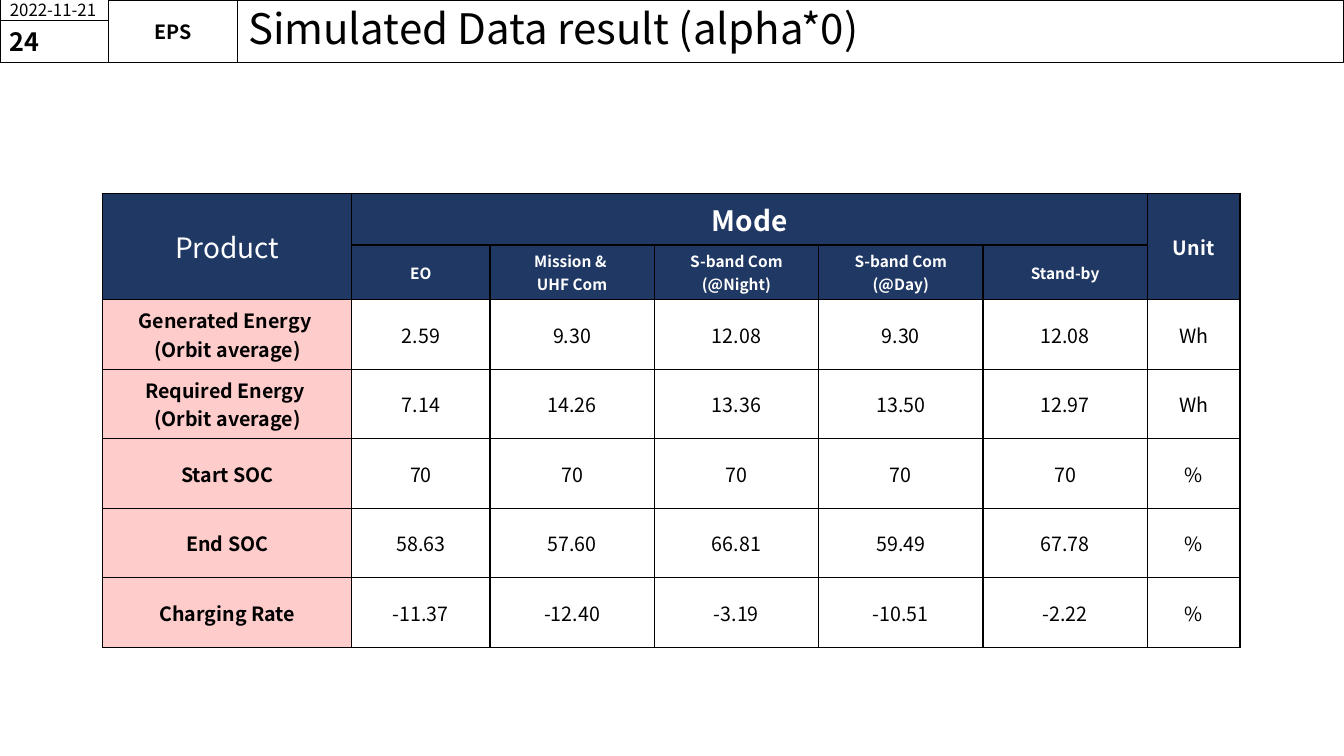
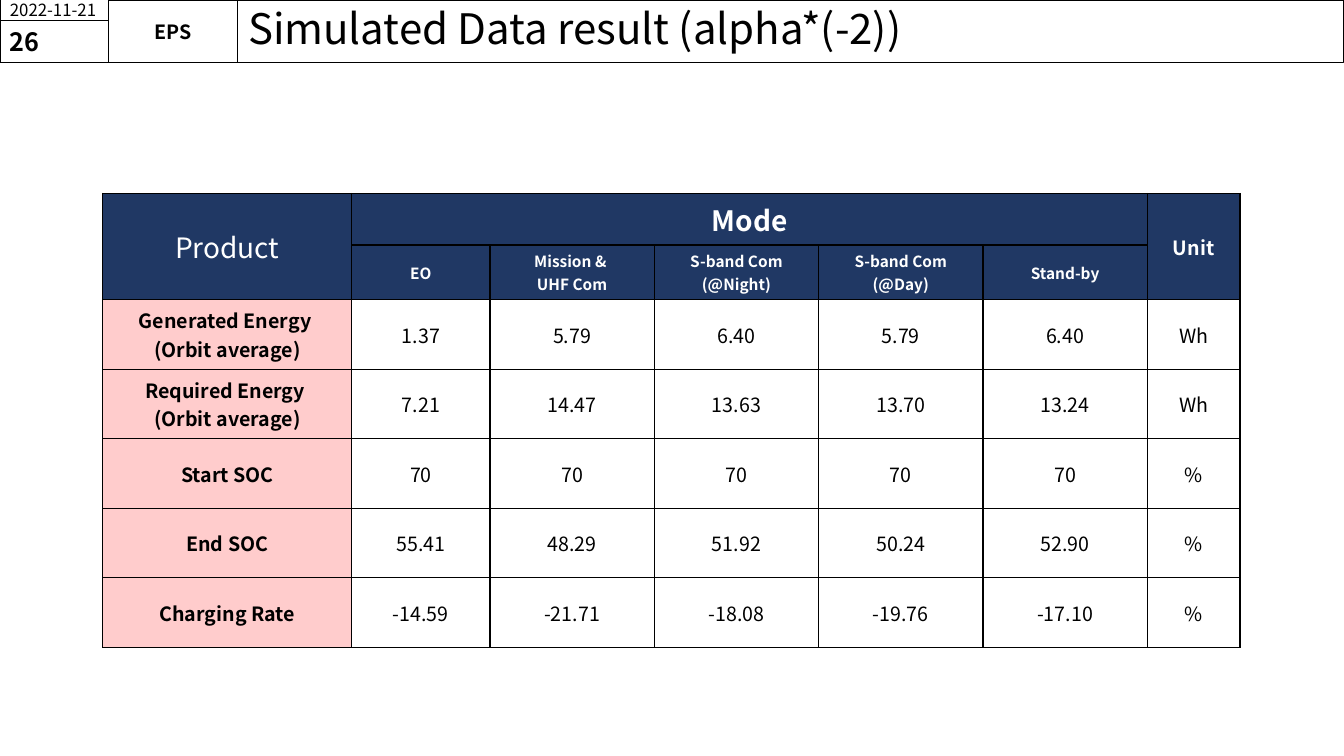
from dataclasses import dataclass

from lxml.etree import SubElement
from pptx import Presentation
from pptx.dml.color import RGBColor
from pptx.enum.shapes import MSO_SHAPE
from pptx.enum.text import MSO_ANCHOR, MSO_AUTO_SIZE, PP_ALIGN
from pptx.oxml.ns import qn
from pptx.util import Inches, Pt


@dataclass(frozen=True)
class Theme:
    """Colours, font, type sizes and line widths of the deck."""
    font: str = "Noto Sans CJK KR"
    ink: str = "000000"
    white: str = "FFFFFF"
    navy: str = "203864"
    pink: str = "FFCCCC"
    title: int = 30
    heading: int = 20
    number: int = 18
    body: int = 14
    date: int = 12
    mode: int = 11
    frame_line: float = 0.75
    grid_line: float = 1


THEME = Theme()
BAND_H = 0.62
DATE_W, DATE_H = 1.08, 0.2
TITLE_X, SLIDE_W = 2.36, 13.33
COL_WIDTHS = [2.47, 1.37] + [1.63] * 4 + [0.92]
ROW_HEIGHTS = [0.51, 0.54] + [0.69] * 5
MODES = ["EO", "Mission & \nUHF Com", "S-band Com (@Night)",
         "S-band Com (@Day)", "Stand-by"]
PRODUCTS = [("Generated Energy \n(Orbit average)", "Wh"),
            ("Required Energy \n(Orbit average)", "Wh"),
            ("Start SOC", "%"), ("End SOC", "%"), ("Charging Rate", "%")]
RESULTS = [
    ("24", "Simulated Data result (alpha*0)", [
        ["2.59", "9.30", "12.08", "9.30", "12.08"],
        ["7.14", "14.26", "13.36", "13.50", "12.97"],
        ["70"] * 5,
        ["58.63", "57.60", "66.81", "59.49", "67.78"],
        ["-11.37", "-12.40", "-3.19", "-10.51", "-2.22"]]),
    ("26", "Simulated Data result (alpha*(-2))", [
        ["1.37", "5.79", "6.40", "5.79", "6.40"],
        ["7.21", "14.47", "13.63", "13.70", "13.24"],
        ["70"] * 5,
        ["55.41", "48.29", "51.92", "50.24", "52.90"],
        ["-14.59", "-21.71", "-18.08", "-19.76", "-17.10"]]),
]


def write(tf, text, size, color=THEME.ink, bold=False, align=PP_ALIGN.LEFT):
    """Fill a text frame with uniformly styled paragraphs."""
    tf.text = text
    for p in tf.paragraphs:
        p.alignment = align
        p.font.name = THEME.font
        p.font.size = Pt(size)
        p.font.bold = bold
        p.font.color.rgb = RGBColor.from_string(color)


def frame(sp):
    """Give a band shape its thin outline, no fill and centred anchor."""
    sp.fill.background()
    sp.line.color.rgb = RGBColor.from_string(THEME.ink)
    sp.line.width = Pt(THEME.frame_line)
    sp.text_frame.word_wrap = True
    sp.text_frame.vertical_anchor = MSO_ANCHOR.MIDDLE


def add_box(slide, x, y, w, h, text, size, **style):
    """Add an outlined box of the top band."""
    sp = slide.shapes.add_shape(MSO_SHAPE.RECTANGLE, Inches(x), Inches(y),
                                Inches(w), Inches(h))
    sp.shadow.inherit = False
    frame(sp)
    write(sp.text_frame, text, size, **style)
    return sp


def add_band(slide, number, title):
    """Set the title and add the date, page number and section boxes."""
    sp = slide.shapes.title
    sp.left, sp.top = Inches(TITLE_X), Inches(0)
    sp.width, sp.height = Inches(SLIDE_W - TITLE_X), Inches(BAND_H)
    frame(sp)
    sp.text_frame.auto_size = MSO_AUTO_SIZE.NONE
    write(sp.text_frame, title, THEME.title)
    sp.text_frame.paragraphs[0].line_spacing = 0.9

    add_box(slide, 0, 0, DATE_W, DATE_H, "2022-11-21", THEME.date)
    section = add_box(slide, DATE_W, 0, TITLE_X - DATE_W, BAND_H, "EPS",
                      THEME.body, bold=True, align=PP_ALIGN.CENTER)
    tf = section.text_frame
    tf.margin_left = tf.margin_top = tf.margin_right = tf.margin_bottom = 0
    add_box(slide, 0, DATE_H, DATE_W, BAND_H - DATE_H, number,
            THEME.number, bold=True)


def style_cell(cell, fill=None):
    """Give a cell its borders, fill and vertical centring."""
    cell.vertical_anchor = MSO_ANCHOR.MIDDLE
    tc_pr = cell._tc.get_or_add_tcPr()
    for side in ("lnL", "lnR", "lnT", "lnB"):
        ln = SubElement(tc_pr, qn(f"a:{side}"), w=str(Pt(THEME.grid_line)))
        solid = SubElement(ln, qn("a:solidFill"))
        SubElement(solid, qn("a:srgbClr"), val=THEME.ink)
    if fill:
        cell.fill.solid()
        cell.fill.fore_color.rgb = RGBColor.from_string(fill)
    else:
        cell.fill.background()


def write_cell(cell, text, size=THEME.body, **style):
    """Write centred text into a cell."""
    write(cell.text_frame, text, size, align=PP_ALIGN.CENTER, **style)


def add_header(table):
    """Merge and label the two header rows."""
    last = len(COL_WIDTHS) - 1
    for r in range(2):
        for c in range(last + 1):
            style_cell(table.cell(r, c), THEME.navy)
    table.cell(0, 0).merge(table.cell(1, 0))
    table.cell(0, 1).merge(table.cell(0, last - 1))
    table.cell(0, last).merge(table.cell(1, last))
    write_cell(table.cell(0, 0), "Product", THEME.heading, color=THEME.white)
    write_cell(table.cell(0, 1), "Mode", THEME.heading,
               color=THEME.white, bold=True)
    write_cell(table.cell(0, last), "Unit", color=THEME.white, bold=True)
    for c, mode in enumerate(MODES, 1):
        write_cell(table.cell(1, c), mode, THEME.mode,
                   color=THEME.white, bold=True)


def add_results(slide, values):
    """Add the table of energy results per mode."""
    table = slide.shapes.add_table(
        len(ROW_HEIGHTS), len(COL_WIDTHS), Inches(1.02), Inches(1.92),
        Inches(sum(COL_WIDTHS)), Inches(sum(ROW_HEIGHTS))).table
    table.first_row = table.horz_banding = False
    for column, width in zip(table.columns, COL_WIDTHS):
        column.width = Inches(width)
    for row, height in zip(table.rows, ROW_HEIGHTS):
        row.height = Inches(height)

    add_header(table)
    for r, ((product, unit), numbers) in enumerate(zip(PRODUCTS, values), 2):
        for c, text in enumerate([product, *numbers, unit]):
            cell = table.cell(r, c)
            style_cell(cell, THEME.pink if c == 0 else None)
            write_cell(cell, text, bold=c == 0)


def main():
    """Build and save the deck."""
    prs = Presentation()
    prs.slide_width, prs.slide_height = Inches(SLIDE_W), Inches(7.5)
    for number, title, values in RESULTS:
        slide = prs.slides.add_slide(prs.slide_layouts[5])
        add_band(slide, number, title)
        add_results(slide, values)
    prs.save("out.pptx")


if __name__ == "__main__":
    main()
